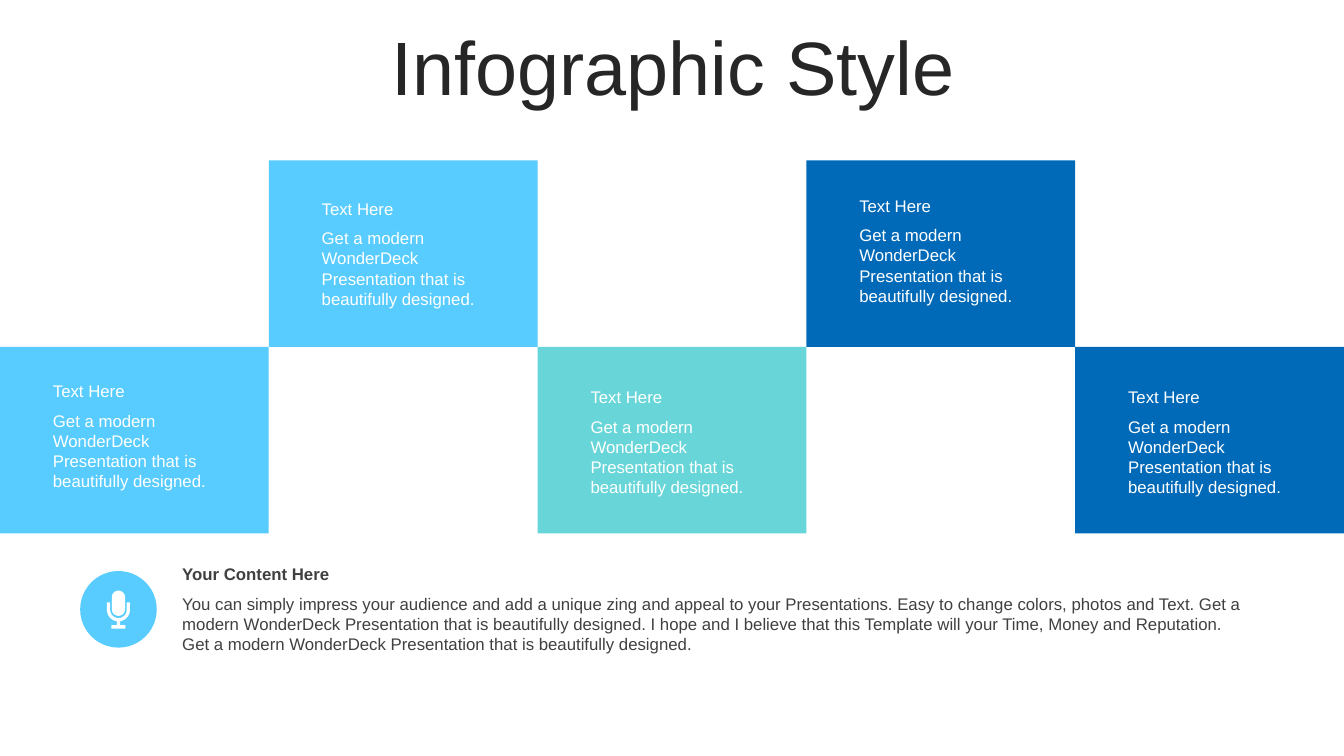
from math import cos, radians, sin

from pptx import Presentation
from pptx.dml.color import RGBColor
from pptx.enum.shapes import MSO_SHAPE
from pptx.enum.text import MSO_ANCHOR, PP_ALIGN
from pptx.util import Pt

SKY = RGBColor(0x58, 0xCC, 0xFE)
TEAL = RGBColor(0x68, 0xD6, 0xD8)
BLUE = RGBColor(0x00, 0x6A, 0xB8)
WHITE = RGBColor(0xFF, 0xFF, 0xFF)
INK = RGBColor(0x26, 0x26, 0x26)
GREY = RGBColor(0x40, 0x40, 0x40)

deck = Presentation()
deck.slide_width, deck.slide_height = Pt(960), Pt(540)
page = deck.slides.add_slide(deck.slide_layouts[6])


def add_text(text, left, top, width, height, color, size=12, anchor=MSO_ANCHOR.TOP):
    box = page.shapes.add_textbox(Pt(left), Pt(top), Pt(width), Pt(height))
    frame = box.text_frame
    frame.word_wrap = True
    frame.vertical_anchor = anchor
    para = frame.paragraphs[0]
    para.text = text
    para.font.name = "Arial"
    para.font.size = Pt(size)
    para.font.color.rgb = color
    return para


def arc(center_x, center_y, radius, start, end, steps=16):
    """Points along an arc, in hundredths of a point; angles run clockwise."""
    angles = [radians(start + (end - start) * i / steps) for i in range(steps + 1)]
    return [(100 * (center_x + radius * cos(a)), 100 * (center_y + radius * sin(a)))
            for a in angles]


# Title
title = add_text("Infographic Style", 25.2, 22.3, 911.5, 56.9, INK, 54, MSO_ANCHOR.MIDDLE)
title.alignment = PP_ALIGN.CENTER
title.line_spacing = 0.9

# Checkerboard of tiles: colour and top of the label, one per column
TILE_WIDTH, TILE_HEIGHT, BOARD_TOP = 192, 133.2, 114.6
tiles = [(SKY, 268.6), (SKY, 138.4), (TEAL, 272.9), (BLUE, 136.2), (BLUE, 272.9)]
for column, (color, label_top) in enumerate(tiles):
    left = column * TILE_WIDTH
    top = BOARD_TOP + (TILE_HEIGHT if column % 2 == 0 else 0)
    tile = page.shapes.add_shape(MSO_SHAPE.RECTANGLE, Pt(left), Pt(top),
                                 Pt(TILE_WIDTH), Pt(TILE_HEIGHT))
    tile.shadow.inherit = False
    tile.fill.solid()
    tile.fill.fore_color.rgb = color
    tile.line.fill.background()
    add_text("Get a modern WonderDeck Presentation that is beautifully designed.",
             left + 30.7, label_top + 20.9, 130.3, 65.5, WHITE)
    add_text("Text Here", left + 30.7, label_top, 130.3, 21.6, WHITE,
             anchor=MSO_ANCHOR.MIDDLE)

# Microphone badge
badge = page.shapes.add_shape(MSO_SHAPE.OVAL, Pt(57.3), Pt(407.9), Pt(54.7), Pt(54.7))

MIC_X, YOKE_Y, YOKE_TOP = 84.6, 435.6, 430.3
OUTER, INNER, CAPSULE = 8.2, 5.9, 4.7
stand = [(1.2, 446.6), (5, 446.6), (5, 449.1), (-5, 449.1), (-5, 446.6), (-1.2, 446.6)]
yoke = (
    [(100 * (MIC_X + INNER), 100 * YOKE_TOP), (100 * (MIC_X + OUTER), 100 * YOKE_TOP)]
    + arc(MIC_X, YOKE_Y, OUTER, 0, 82)
    + [(100 * (MIC_X + x), 100 * y) for x, y in stand]
    + arc(MIC_X, YOKE_Y, OUTER, 98, 180)
    + [(100 * (MIC_X - OUTER), 100 * YOKE_TOP), (100 * (MIC_X - INNER), 100 * YOKE_TOP)]
    + arc(MIC_X, YOKE_Y, INNER, 180, 0)
)
capsule = arc(MIC_X, 426.6, CAPSULE, 180, 360) + arc(MIC_X, 435.2, CAPSULE, 0, 180)

builder = page.shapes.build_freeform(*yoke[0], scale=Pt(1) / 100)
builder.add_line_segments(yoke[1:], close=True)
builder.move_to(*capsule[0])
builder.add_line_segments(capsule[1:], close=True)
microphone = builder.convert_to_shape()

for shape, color in [(badge, SKY), (microphone, WHITE)]:
    shape.shadow.inherit = False
    shape.fill.solid()
    shape.fill.fore_color.rgb = color
    shape.line.fill.background()

# Closing text
add_text("You can simply impress your audience and add a unique zing and appeal to your "
         "Presentations. Easy to change colors, photos and Text. Get a modern WonderDeck "
         "Presentation that is beautifully designed. I hope and I believe that this "
         "Template will your Time, Money and Reputation. Get a modern WonderDeck "
         "Presentation that is beautifully designed.",
         123.1, 420.5, 775.4, 51.1, GREY)
heading = add_text("Your Content Here", 123.1, 399.2, 775.4, 21.6, GREY)
heading.font.bold = True

deck.save("out.pptx")
